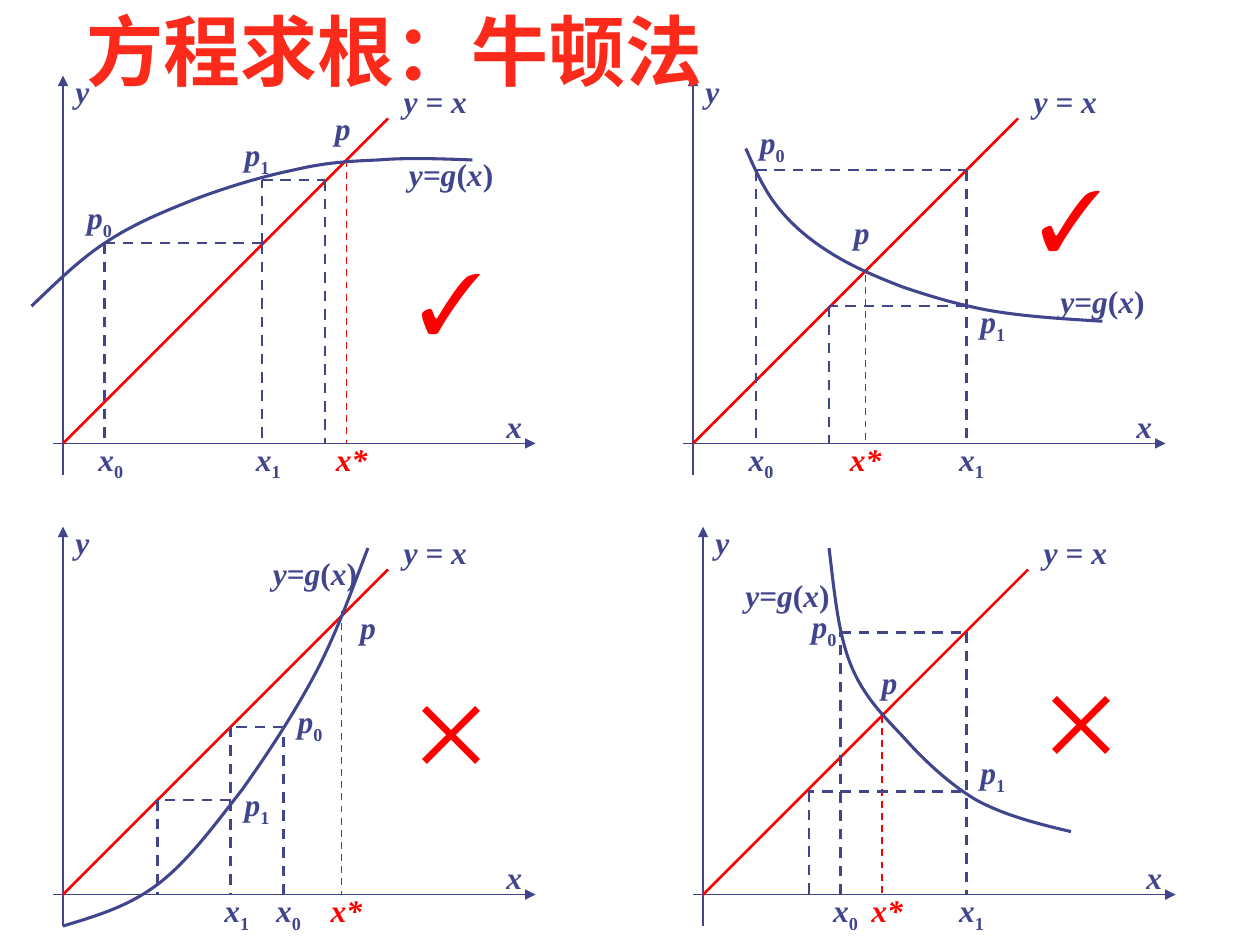
"""Draw four cases of fixed-point iteration y = g(x) on one slide."""
from itertools import groupby

from lxml.etree import SubElement
from pptx import Presentation
from pptx.dml.color import RGBColor
from pptx.enum.dml import MSO_LINE
from pptx.enum.shapes import MSO_CONNECTOR
from pptx.enum.text import MSO_ANCHOR, PP_ALIGN
from pptx.oxml.ns import qn
from pptx.util import Inches, Pt

INK = RGBColor(0x40, 0x45, 0x8C)
RED = RGBColor(0xFF, 0x00, 0x00)
TITLE_RED = RGBColor(0xFC, 0x2A, 0x1A)
SERIF = "Times New Roman"
SANS = "Noto Sans CJK SC"


def add_run(p, text, size=18, color=INK, font=SERIF, bold=True, italic=False, sub=False):
    r = p.add_run()
    r.text = text
    f = r.font
    f.size, f.bold, f.italic, f.name = Pt(size), bold, italic, font
    f.color.rgb = color
    SubElement(f._element, qn("a:ea")).set("typeface", font)
    if sub:
        f._element.set("baseline", "-25000")


class Diagram:
    def __init__(self, slide):
        self.slide = slide

    def box(self, x, y, w, h, align=PP_ALIGN.CENTER, wrap=False, anchor=MSO_ANCHOR.TOP):
        s = self.slide.shapes.add_textbox(Inches(x), Inches(y), Inches(w), Inches(h))
        tf = s.text_frame
        tf.word_wrap, tf.vertical_anchor = wrap, anchor
        p = tf.paragraphs[0]
        p.alignment = align
        return p

    def label(self, text, x, y, w=0.42, color=INK, align=PP_ALIGN.CENTER):
        p = self.box(x, y, w, 0.4, align)
        name, _, index = text.partition("_")
        for upright, chars in groupby(name, lambda c: c in "()"):
            add_run(p, "".join(chars), color=color, italic=not upright)
        if index:
            add_run(p, index, color=color, sub=True)

    def line(self, start, end, color=INK, width=1.5, dash=False, arrow=False):
        ends = [Inches(v) for v in (*start, *end)]
        s = self.slide.shapes.add_connector(MSO_CONNECTOR.STRAIGHT, *ends)
        s.line.color.rgb, s.line.width = color, Pt(width)
        if dash:
            s.line.dash_style = MSO_LINE.DASH
        if arrow:
            SubElement(s.line._get_or_add_ln(), qn("a:tailEnd")).set("type", "triangle")
        SubElement(s._element.spPr, qn("a:effectLst"))

    def dashes(self, points):
        for start, end in zip(points, points[1:]):
            self.line(start, end, dash=True)

    def curve(self, points):
        start, *rest = [(Inches(x), Inches(y)) for x, y in points]
        builder = self.slide.shapes.build_freeform(*start)
        builder.add_line_segments(rest, close=False)
        s = builder.convert_to_shape()
        outline = next(s._element.iter(qn("a:path")))
        segments = outline.findall(qn("a:lnTo"))
        for i in range(0, len(segments), 3):
            bezier = SubElement(outline, qn("a:cubicBezTo"))
            for segment in segments[i:i + 3]:
                bezier.append(segment[0])
                outline.remove(segment)
        s.fill.background()
        s.line.color.rgb, s.line.width = INK, Pt(1.75)
        s.shadow.inherit = False

    def axes(self, x, y):
        self.line((x - 0.08, y), (x + 3.75, y), width=1, arrow=True)
        self.line((x, y + 0.25), (x, y - 2.92), width=1, arrow=True)
        self.label("x", x + 3.42, y - 0.34, 0.33, align=PP_ALIGN.LEFT)
        self.label("y", x, y - 3, 0.33, align=PP_ALIGN.LEFT)
        self.line((x, y), (x + 2.58, y - 2.58), RED)
        self.label("y = x", x + 2.58, y - 2.92, 0.75)

    def root(self, x, top, base, label_x):
        self.line((x, top), (x, base), RED, 1, dash=True)
        self.label("x*", label_x, base - 0.08, 0.58, RED)

    def mark(self, text, x, y, bold):
        add_run(self.box(x, y, 1, 0.9), text, size=48, color=RED, bold=bold)

    def title(self, text):
        p = self.box(0.59, 0.26, 9.11, 0.55, PP_ALIGN.LEFT, True, MSO_ANCHOR.BOTTOM)
        add_run(p, text, size=44, color=TITLE_RED, font=SANS)

    def panel(self, origin, curve, root, dashes, labels, g_label, mark):
        base = origin[1]
        self.axes(*origin)
        self.root(root[0], root[1], base, root[2])
        self.curve(curve)
        self.label("y=g(x)", *g_label, 1)
        for points in dashes:
            self.dashes(points)
        for text, x, y in labels:
            self.label(text, x, y)
        self.mark(*mark)


TOP, BOTTOM = 3.52, 7.1
TOP_X, BOTTOM_X = TOP - 0.08, BOTTOM - 0.08

PANELS = [
    dict(origin=(0.5, TOP), root=(2.75, 1.27, 2.5), g_label=(3.08, 1.18),
         curve=[(0.25, 2.43), (0.44, 2.25), (0.62, 2.07), (0.83, 1.93), (1.04, 1.79),
                (1.25, 1.7), (1.5, 1.6), (1.75, 1.5), (2.08, 1.4), (2.33, 1.35),
                (2.58, 1.29), (2.76, 1.28), (3, 1.27), (3.24, 1.25), (3.49, 1.26),
                (3.75, 1.27)],
         dashes=[[(0.83, 1.93), (0.83, TOP)],
                 [(0.83, 1.93), (2.08, 1.93), (2.08, TOP)],
                 [(2.08, 1.93), (2.08, 1.43), (2.58, 1.43), (2.58, TOP)]],
         labels=[("x_0", 0.67, TOP_X), ("p_0", 0.58, 1.52), ("x_1", 1.92, TOP_X),
                 ("p_1", 1.83, 1.02), ("p", 2.51, 0.82)],
         mark=("✓", 3.08, 1.93, True)),
    dict(origin=(5.5, TOP), root=(6.87, 2.18, 6.58), g_label=(8.25, 2.19),
         curve=[(5.92, 1.18), (5.99, 1.34), (6.06, 1.5), (6.17, 1.64), (6.28, 1.78),
                (6.42, 1.9), (6.58, 2), (6.75, 2.11), (6.96, 2.2), (7.17, 2.28),
                (7.38, 2.35), (7.57, 2.41), (7.83, 2.46), (8.1, 2.51), (8.42, 2.53),
                (8.75, 2.55)],
         dashes=[[(6, 1.35), (6, TOP)],
                 [(6, 1.35), (7.67, 1.35), (7.67, TOP)],
                 [(7.67, 2.43), (6.58, 2.43), (6.58, TOP)]],
         labels=[("x_0", 5.83, TOP_X), ("p_0", 5.92, 0.93), ("x_1", 7.5, TOP_X),
                 ("p_1", 7.67, 2.35), ("p", 6.63, 1.64)],
         mark=("✓", 8, 1.27, True)),
    dict(origin=(0.5, BOTTOM), root=(2.71, 4.85, 2.46), g_label=(2, 4.35),
         curve=[(0.5, 7.35), (0.76, 7.27), (1.01, 7.2), (1.25, 7.02), (1.49, 6.84),
                (1.71, 6.54), (1.92, 6.27), (2.12, 5.99), (2.33, 5.67), (2.5, 5.35),
                (2.67, 5.03), (2.79, 4.69), (2.92, 4.35)],
         dashes=[[(2.25, BOTTOM), (2.25, 5.77), (1.83, 5.77), (1.83, BOTTOM)],
                 [(1.83, 6.35), (1.25, 6.35), (1.25, BOTTOM)]],
         labels=[("x_0", 2.08, BOTTOM_X), ("p_0", 2.25, 5.52), ("x_1", 1.67, BOTTOM_X),
                 ("p_1", 1.83, 6.18), ("p", 2.71, 4.78)],
         mark=("✕", 3.08, 5.35, False)),
    dict(origin=(5.58, BOTTOM), root=(7, 5.68, 6.75), g_label=(5.75, 4.52),
         curve=[(6.58, 4.35), (6.62, 4.68), (6.65, 5.02), (6.75, 5.27), (6.85, 5.52),
                (7, 5.67), (7.17, 5.85), (7.33, 6.03), (7.53, 6.22), (7.75, 6.35),
                (7.97, 6.47), (8.24, 6.54), (8.5, 6.6)],
         dashes=[[(6.67, BOTTOM), (6.67, 5.02), (7.67, 5.02), (7.67, BOTTOM)],
                 [(7.63, 6.28), (6.42, 6.28), (6.42, BOTTOM)]],
         labels=[("x_0", 6.5, BOTTOM_X), ("p_0", 6.33, 4.77), ("x_1", 7.5, BOTTOM_X),
                 ("p_1", 7.67, 5.93), ("p", 6.85, 5.21)],
         mark=("✕", 8.08, 5.27, False)),
]


def main():
    prs = Presentation()
    prs.slide_width, prs.slide_height = Inches(10), Inches(7.5)
    diagram = Diagram(prs.slides.add_slide(prs.slide_layouts[6]))
    for panel in PANELS:
        diagram.panel(**panel)
    diagram.title("方程求根：牛顿法")
    prs.save("out.pptx")


if __name__ == "__main__":
    main()
